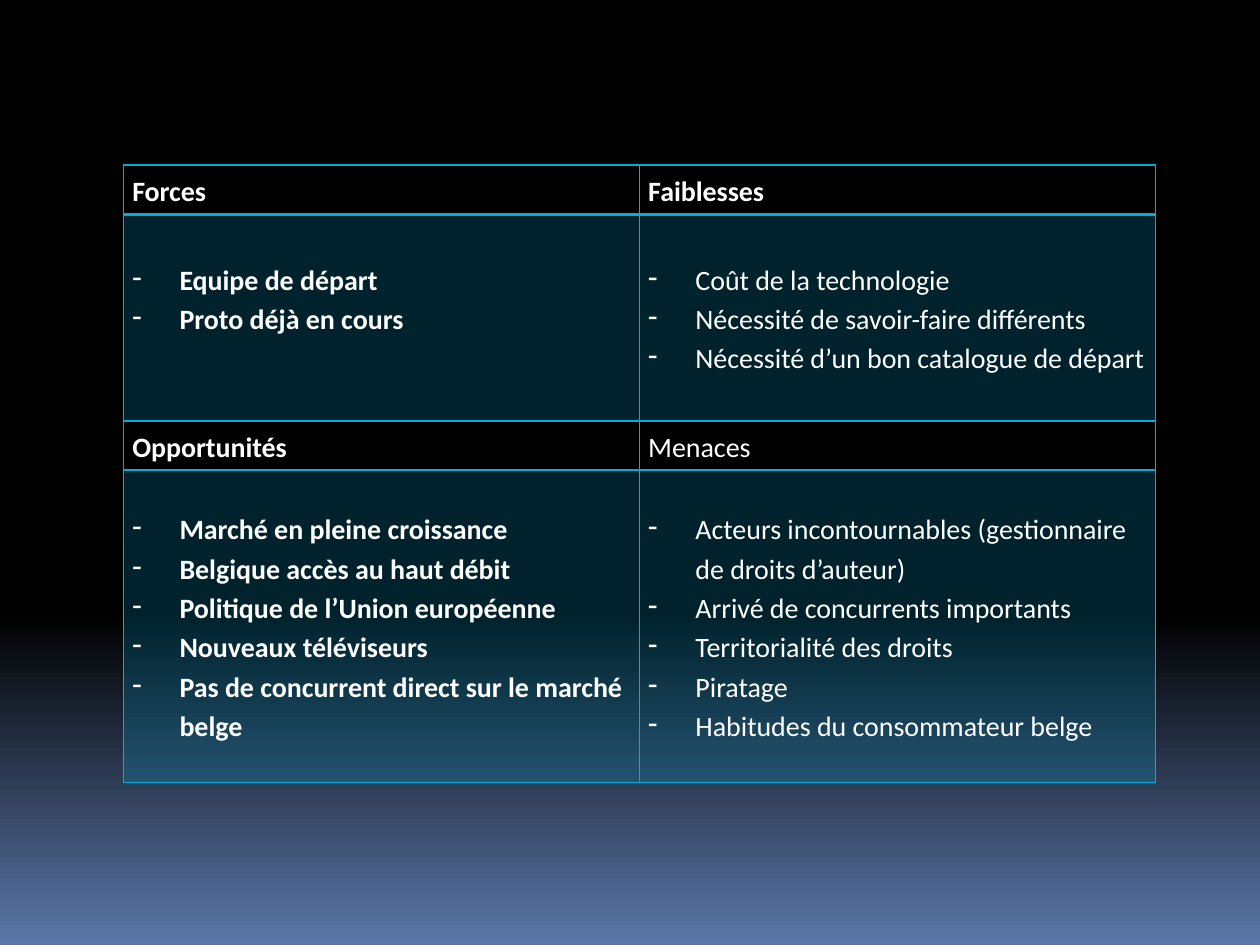
from lxml.etree import SubElement
from pptx import Presentation
from pptx.dml.color import RGBColor
from pptx.enum.text import MSO_ANCHOR
from pptx.oxml.ns import qn
from pptx.util import Inches, Pt

COLORS = {"black": "000000", "sky": "5B77A8", "cyan": "00ADDC", "text": "FFFFFF"}
COL_WIDTH = 4.095
ROW_HEIGHTS = [0.39, 1.64, 0.39, 2.48]
INDENT = Inches(0.375)

# One entry per table row: left cell, right cell
HEADINGS = {0: ("Forces", "Faiblesses"), 2: ("Opportunités", "Menaces")}
LISTS = {
    1: (
        ["Equipe de départ", "Proto déjà en cours"],
        ["Coût de la technologie", "Nécessité de savoir-faire différents",
         "Nécessité d’un bon catalogue de départ"],
    ),
    3: (
        ["Marché en pleine croissance", "Belgique accès au haut débit",
         "Politique de l’Union européenne", "Nouveaux téléviseurs",
         "Pas de concurrent direct sur le marché belge"],
        ["Acteurs incontournables (gestionnaire de droits d’auteur)",
         "Arrivé de concurrents importants", "Territorialité des droits",
         "Piratage", "Habitudes du consommateur belge"],
    ),
}


def style_cell(cell, row):
    """Draw the cell borders, then a translucent fill on list rows."""
    tc_pr = cell._tc.get_or_add_tcPr()
    for side in "LRTB":
        thick = (row, side) in ((0, "B"), (1, "T"))
        ln = SubElement(tc_pr, qn(f"a:ln{side}"), w=str(Pt(2 if thick else 1)))
        SubElement(SubElement(ln, qn("a:solidFill")), qn("a:srgbClr"), val=COLORS["cyan"])
    if row in HEADINGS:
        cell.fill.background()
        return
    cell.fill.solid()
    cell.fill.fore_color.rgb = RGBColor.from_string(COLORS["cyan"])
    color = tc_pr.find(qn("a:solidFill")).find(qn("a:srgbClr"))
    SubElement(color, qn("a:alpha"), val="20000")


def write_cell(cell, lines, bold, bulleted):
    """Write one paragraph per line, with a dash bullet in lists."""
    cell.vertical_anchor = MSO_ANCHOR.MIDDLE
    cell.margin_left = cell.margin_right = Inches(0.07)
    cell.margin_top = cell.margin_bottom = 0
    tf = cell.text_frame
    tf.text = "\n".join(lines)
    for p in tf.paragraphs:
        p.line_spacing = 1.15
        if bulleted:
            p_pr = p._p.get_or_add_pPr()
            p_pr.set("marL", str(INDENT))
            p_pr.set("indent", str(-INDENT))
            SubElement(p_pr, qn("a:buChar"), char="-")
        p.font.name = "Calibri"
        p.font.size = Pt(16)
        p.font.bold = bold
        p.font.color.rgb = RGBColor.from_string(COLORS["text"])


prs = Presentation()
prs.slide_width, prs.slide_height = Inches(10), Inches(7.5)
s = prs.slides.add_slide(prs.slide_layouts[6])

# Background: black down to 65 %, then fading to blue
bg = s.background.fill
bg.gradient()
bg.gradient_angle = 270
for stop, (position, name) in zip(bg.gradient_stops, [(0.65, "black"), (1, "sky")]):
    stop.position = position
    stop.color.rgb = RGBColor.from_string(COLORS[name])

# SWOT table
table = s.shapes.add_table(
    len(ROW_HEIGHTS), 2, Inches(0.98), Inches(1.31),
    Inches(2 * COL_WIDTH), Inches(sum(ROW_HEIGHTS))).table
table.first_row = table.horz_banding = False
for column in table.columns:
    column.width = Inches(COL_WIDTH)

for row, height in enumerate(ROW_HEIGHTS):
    table.rows[row].height = Inches(height)
    for col in range(2):
        cell = table.cell(row, col)
        heading = row in HEADINGS
        lines = [HEADINGS[row][col]] if heading else LISTS[row][col]
        write_cell(cell, lines, bold=col == 0 or row == 0, bulleted=not heading)
        style_cell(cell, row)

# The strengths list sits one line above the middle of its cell
table.cell(1, 0).margin_bottom = Inches(0.31)

prs.save("out.pptx")
